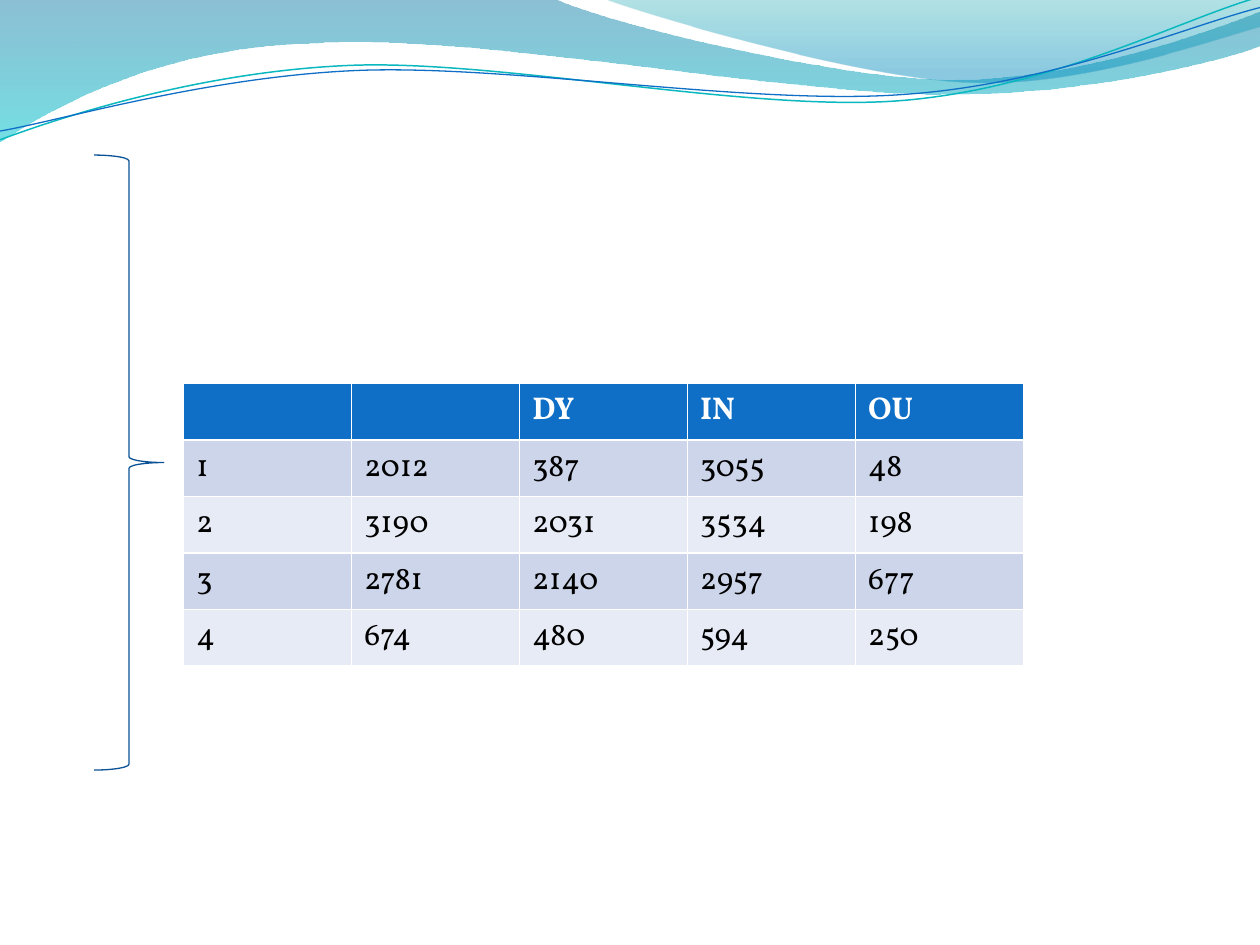
from dataclasses import dataclass
from math import cos, radians, sin
from typing import Optional

from lxml.etree import SubElement as Sub
from pptx import Presentation
from pptx.dml.color import RGBColor
from pptx.enum.shapes import MSO_SHAPE as Kind
from pptx.oxml.ns import qn
from pptx.util import Pt

FONT = "Vollkorn"
WHITE = "FFFFFF"
BLUE = "0F6FC6"
BANDS = ("CCD5EA", "E7EBF5")
TILT = 357.3
ROWS = (
    ("", "", "DY", "IN", "OU"),
    ("1", "2012", "387", "3055", "48"),
    ("2", "3190", "2031", "3534", "198"),
    ("3", "2781", "2140", "2957", "677"),
    ("4", "674", "480", "594", "250"),
)


@dataclass
class Stop:
    hue: str
    place: float
    alpha: int


@dataclass
class Wave:
    box: tuple[float, float, float, float]
    start: tuple[float, float]
    legs: tuple[tuple[float, ...], ...]
    stops: tuple[Stop, ...] = ()
    line: Optional[str] = None
    width: float = 0
    turn: float = 0


WAVES = (
    Wave(
        (-0.7, -0.7, 721.4, 82.1),
        (0, 0),
        (
            (316.8, -0.7),
            (342.7, 12.2, 478.1, 45.4, 545.8, 45.4),
            (614.2, 45.4, 689.8, 18.7, 720, 6.5),
            (720.7, 25.9),
            (707.8, 31.7, 626.4, 54.7, 537.1, 54),
            (447.8, 54, 275, 20.2, 185, 24.5),
            (92.9, 25.9, 33.1, 59.8, -0.7, 81.4),
            (0, 0),
        ),
        stops=(Stop("0074A1", 0, 45), Stop("00C6CF", 1, 55)),
    ),
    Wave(
        (344.9, -0.7, 375.1, 50.4),
        (344.9, -0.7),
        (
            (366.5, 7.9, 491, 44.6, 553.7, 46.8),
            (616.3, 49.7, 691.9, 23, 720, 15.1),
            (720, 0),
            (344.9, -0.7),
        ),
        stops=(Stop("00A1A9", 0, 30), Stop("008BBF", 0.8, 45)),
    ),
    Wave(
        (-1.4, 15.8, 721.4, 51.1),
        (0, 79.9),
        (
            (34.6, 67, 113.8, 41, 199.4, 37.4),
            (284.4, 33.8, 427, 64.1, 513.4, 57.6),
            (599.8, 51.1, 675.4, 10.8, 718.6, -1.4),
        ),
        line="0AB8BF",
        width=0.85,
        turn=TILT,
    ),
    Wave(
        (-1.4, 21.6, 722.2, 41.8),
        (0, 74.9),
        (
            (33.8, 69.1, 118.1, 43.9, 203.8, 40.3),
            (290.2, 36.7, 429.8, 60.5, 516.2, 54),
            (601.9, 48.2, 677.5, 15.1, 720, 4.3),
        ),
        line=BLUE,
        width=0.75,
        turn=TILT,
    ),
)


def paint(target, hue: str) -> None:
    target.rgb = RGBColor.from_string(hue)


def stroke(shape, hue: str, width: float) -> None:
    shape.fill.background()
    paint(shape.line.color, hue)
    shape.line.width = Pt(width)


def blend(shape, stops: tuple[Stop, ...]) -> None:
    shape.line.fill.background()
    shape.fill.gradient()
    shape.fill.gradient_angle = 270
    for grad, stop in zip(shape.fill.gradient_stops, stops):
        paint(grad.color, stop.hue)
        grad.position = stop.place
    tints = shape._element.spPr.findall(".//" + qn("a:gs") + "/" + qn("a:srgbClr"))
    for tint, stop in zip(tints, stops):
        Sub(tint, qn("a:alpha"), val=str(stop.alpha * 1000))


def local(wave: Wave, x: float, y: float) -> tuple[int, int]:
    left, top, wide, high = wave.box
    dx, dy = x - left - wide / 2, y - top - high / 2
    back = radians(-wave.turn)
    return (
        Pt(wide / 2 + dx * cos(back) - dy * sin(back)),
        Pt(high / 2 + dx * sin(back) + dy * cos(back)),
    )


def bend(shape, wave: Wave) -> None:
    shape.left, shape.top, shape.width, shape.height = map(Pt, wave.box)
    shape.rotation = wave.turn
    track = shape._element.spPr.find(".//" + qn("a:path"))
    track.set("w", str(shape.width))
    track.set("h", str(shape.height))
    for step, leg in zip(list(track), (wave.start, *wave.legs)):
        if len(leg) == 6:
            step.tag = qn("a:cubicBezTo")
        for point in list(step):
            step.remove(point)
        for pair in zip(leg[::2], leg[1::2]):
            x, y = local(wave, *pair)
            Sub(step, qn("a:pt"), x=str(x), y=str(y))


def draw_wave(slide, wave: Wave) -> None:
    first, *rest = [(Pt(leg[-2]), Pt(leg[-1])) for leg in (wave.start, *wave.legs)]
    pen = slide.shapes.build_freeform(*first, scale=1.0)
    pen.add_line_segments(rest, close=bool(wave.stops))
    shape = pen.convert_to_shape()
    shape.shadow.inherit = False
    bend(shape, wave)
    if wave.stops:
        blend(shape, wave.stops)
    else:
        stroke(shape, wave.line, wave.width)


def draw_cell(cell, text: str, row: int) -> None:
    head = row == 0
    cell.fill.solid()
    paint(cell.fill.fore_color, BLUE if head else BANDS[(row - 1) % 2])
    if text:
        cell.text_frame.text = text
        font = cell.text_frame.paragraphs[0].runs[0].font
        font.name, font.size, font.bold = FONT, Pt(18), head
        paint(font.color, WHITE if head else "000000")


def draw_table(slide) -> None:
    grid = slide.shapes.add_table(
        len(ROWS), len(ROWS[0]), Pt(105), Pt(219), Pt(480), Pt(146)
    ).table
    for r, row in enumerate(ROWS):
        for c, text in enumerate(row):
            draw_cell(grid.cell(r, c), text, r)


def draw_brace(slide) -> None:
    brace = slide.shapes.add_shape(
        Kind.RIGHT_BRACE, Pt(53.8), Pt(88.6), Pt(39.8), Pt(351.4)
    )
    brace.shadow.inherit = False
    stroke(brace, "095295", 0.75)


def main() -> None:
    deck = Presentation()
    deck.slide_width, deck.slide_height = Pt(720), Pt(540)
    slide = deck.slides.add_slide(deck.slide_layouts[6])
    for wave in WAVES:
        draw_wave(slide, wave)
    draw_table(slide)
    draw_brace(slide)
    deck.save("out.pptx")


if __name__ == "__main__":
    main()
